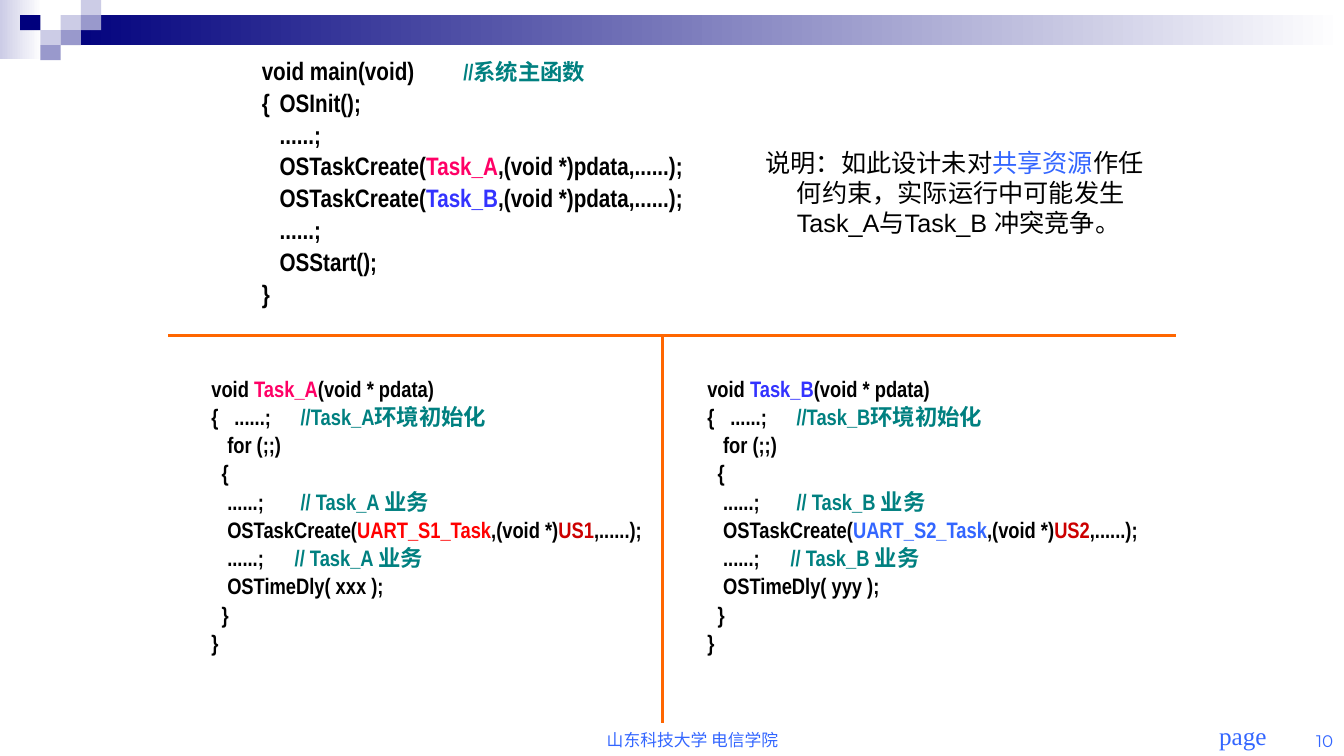
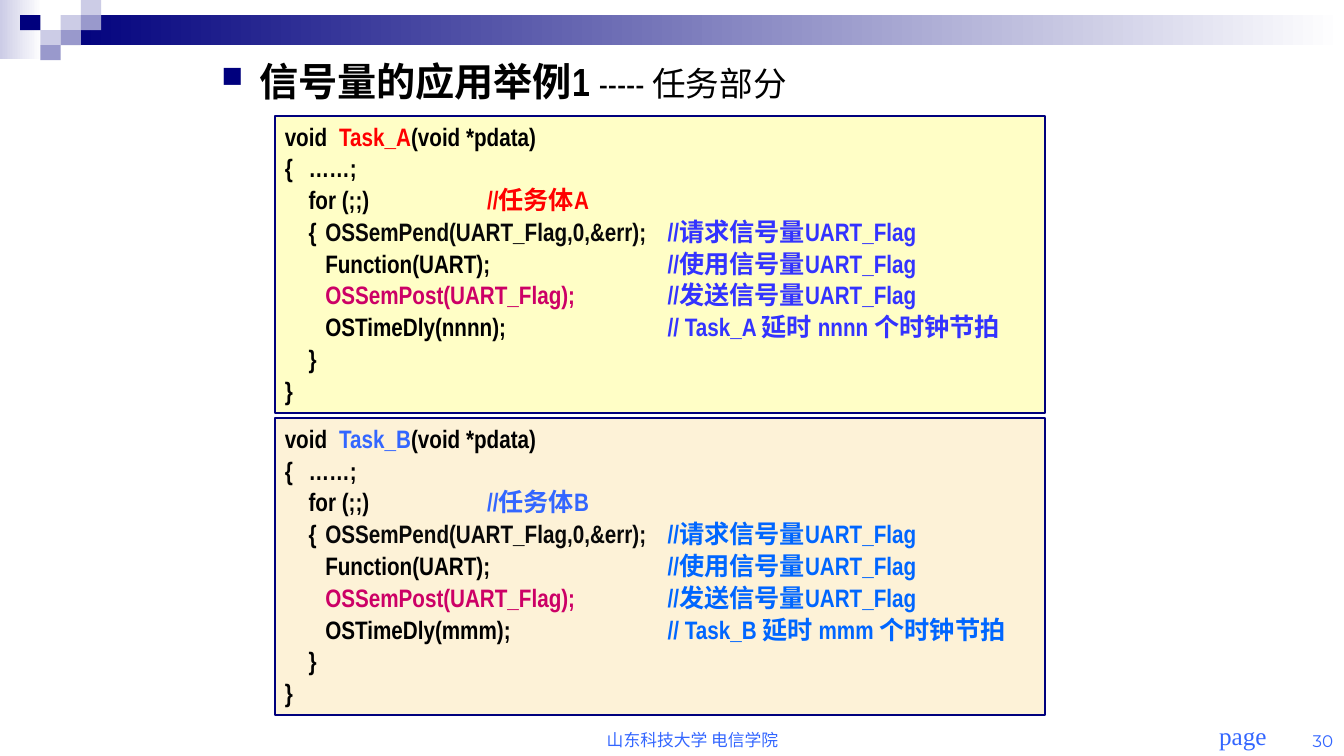
from lxml.etree import SubElement
from pptx import Presentation
from pptx.dml.color import RGBColor
from pptx.enum.shapes import MSO_CONNECTOR, MSO_SHAPE
from pptx.enum.text import MSO_ANCHOR, PP_ALIGN
from pptx.oxml.ns import qn
from pptx.util import Cm, Pt

NAVY, LILAC, MAUVE, WHITE = "00007D", "CCCCE6", "9999CC", "FFFFFF"
BLUE, TEAL, RED, ORANGE = "3366FF", "008080", "FF0000", "FF6600"
BLACK, PINK, VIOLET, ROSE = "000000", "FF0066", "3333FF", "CC0066"
CODE = "Arial Narrow"
hue = RGBColor.from_string


def block(slide, x, y, w, h, fill=None, line=None):
    if fill is None:
        shape = slide.shapes.add_textbox(Cm(x), Cm(y), Cm(w), Cm(h))
    else:
        shape = slide.shapes.add_shape(MSO_SHAPE.RECTANGLE, Cm(x), Cm(y), Cm(w), Cm(h))
        shape.shadow.inherit = False
        if isinstance(fill, tuple):
            shape.fill.gradient()
            shape.fill.gradient_angle = 0
            for stop, tone, spot in zip(shape.fill.gradient_stops, fill, (0, 1)):
                stop.color.rgb = hue(tone)
                stop.position = spot
        else:
            shape.fill.solid()
            shape.fill.fore_color.rgb = hue(fill)
        if line:
            shape.line.color.rgb = hue(line)
            shape.line.width = Pt(1.5)
        else:
            shape.line.fill.background()
    shape.text_frame.word_wrap = True
    shape.text_frame.vertical_anchor = MSO_ANCHOR.TOP
    return shape.text_frame


def write(frame, rows, size, face, tone=BLACK, bold=False, gap=0, tabs=(), align=PP_ALIGN.LEFT):
    for i, row in enumerate(rows):
        para = frame.add_paragraph() if i else frame.paragraphs[0]
        para.alignment = align
        para.space_before = Pt(gap)
        if tabs:
            stops = SubElement(para._p.get_or_add_pPr(), qn("a:tabLst"))
            for tab in tabs:
                SubElement(stops, qn("a:tab"), pos=str(Cm(tab)), algn="l")
        font = para.font
        font.name, font.size, font.bold = face, Pt(size), bold
        font.color.rgb = hue(tone)
        for part in row:
            text, tint = part if isinstance(part, tuple) else (part, None)
            run = para.add_run()
            run.text = text
            if tint:
                run.font.color.rgb = hue(tint)


deck = Presentation()
deck.slide_width, deck.slide_height = Cm(33.88), Cm(19.05)
pages = []
cells = [(3, 1, LILAC), (4, 0, LILAC), (4, 1, MAUVE), (2, 2, LILAC),
         (1, 1, NAVY), (3, 2, MAUVE), (2, 3, MAUVE)]

for number in ("10", "30"):
    page = deck.slides.add_slide(deck.slide_layouts[6])
    pages.append(page)
    block(page, 0, 0, 1.06, 1.48, (LILAC, WHITE))
    block(page, 1.53, 0.38, 32.33, 0.76, (NAVY, WHITE))
    for col, row, tone in cells:
        block(page, col * 0.51, row * 0.38, 0.51, 0.38, tone)
    write(block(page, 30.12, 18.03, 2.42, 1.02), [["page"]], 18, "Times New Roman",
          BLUE, gap=11.2, align=PP_ALIGN.CENTER)
    foot = block(page, 11.86, 18.14, 11.2, 0.89)
    write(foot, [["山东科技大学 电信学院"]], 12, "Arial", BLUE, align=PP_ALIGN.CENTER)
    count = block(page, 32.13, 18.16, 1.73, 0.89)
    write(count, [[number]], 12, "Montserrat", BLUE, align=PP_ALIGN.RIGHT)
    foot.vertical_anchor = count.vertical_anchor = MSO_ANCHOR.BOTTOM

tasks, sema = pages

main = block(tasks, 6.35, 1.27, 12.9, 6.63)
write(main, [
    ["void main(void)\t", ("//系统主函数", TEAL)],
    ["{\tOSInit();"],
    ["\t......;"],
    ["\tOSTaskCreate(", ("Task_A", PINK), ",(void *)pdata,......);"],
    ["\tOSTaskCreate(", ("Task_B", VIOLET), ",(void *)pdata,......);"],
    ["\t......;"],
    ["\tOSStart();"],
    ["}"],
], 18, CODE, bold=True, gap=1.1, tabs=(0.45, 5.08))
main.paragraphs[0].runs[1].font.size = Pt(16)

for x, name, tone, port, tint, wait in (
        (5.08, "A", PINK, "1", RED, "xxx"),
        (17.58, "B", VIOLET, "2", BLUE, "yyy")):
    work = (f"// Task_{name} 业务", TEAL)
    write(block(tasks, x, 9.32, 11.6, 7.34), [
        ["void ", (f"Task_{name}", tone), "(void * pdata)"],
        ["{\t\t\t......;\t\t", (f"//Task_{name}环境初始化", TEAL)],
        ["\t\tfor (;;)"],
        ["\t{"],
        ["\t\t......;\t\t", work],
        ["\t\tOSTaskCreate(", (f"UART_S{port}_Task", tint), ",(void *)",
         (f"US{port}", "CC0000"), ",......);"],
        ["\t\t......;\t", work],
        [f"\t\tOSTimeDly( {wait} );"],
        ["\t}"],
        ["}"],
    ], 16, CODE, bold=True, gap=1, tabs=(0.26, 0.4, 0.58, 2.1, 2.25))

for ends in ((4.24, 8.46, 29.64, 8.46), (16.71, 8.46, 16.71, 18.21)):
    rule = tasks.shapes.add_connector(MSO_CONNECTOR.STRAIGHT, *map(Cm, ends))
    rule.line.color.rgb = hue(ORANGE)
    rule.line.width = Pt(2.25)
    SubElement(rule._element.spPr, qn("a:effectLst"))

note = block(tasks, 19.05, 3.58, 10.16, 2.54)
write(note, [["说明：如此设计未对", ("共享资源", BLUE),
              "作任何约束，实际运行中可能发生Task_A与Task_B 冲突竞争。"]], 18, "Arial", gap=11.2)
hang = note.paragraphs[0]._p.get_or_add_pPr()
hang.set("marL", str(Cm(0.79)))
hang.set("indent", str(Cm(-0.79)))

title = block(sema, 5.33, 1.32, 22.86, 1.6)
head = title.paragraphs[0]
mark = head._p.get_or_add_pPr()
mark.set("marL", str(Cm(0.95)))
mark.set("indent", str(Cm(-0.95)))
head.space_before = Pt(6)
SubElement(SubElement(mark, qn("a:buClr")), qn("a:srgbClr"), val=NAVY)
SubElement(mark, qn("a:buSzPct"), val="75000")
SubElement(mark, qn("a:buChar"), char="■")
write(title, [["信号量的应用举例1 ", "----- 任务部分"]], 28, CODE, bold=True, gap=6)
head.runs[1].font.size = Pt(24)
head.runs[1].font.bold = False

for y, fill, name, tone, tint, wait in (
        (2.92, "FFFEC6", "A", RED, VIOLET, "nnnn"),
        (10.54, "FDF2D7", "B", BLUE, "0066FF", "mmm")):
    write(block(sema, 6.93, y, 19.41, 7.48, fill, NAVY), [
        ["void\t", (f"Task_{name}", tone), "(void *pdata)"],
        ["{\t……;"],
        ["\tfor (;;)\t", (f"//任务体{name}", tone)],
        ["\t{\t", ("OSSemPend(UART_Flag,0,&err);\t", "080808"), ("//请求信号量UART_Flag", tint)],
        ["\t\tFunction(UART);\t", ("//使用信号量UART_Flag", tint)],
        ["\t\t", ("OSSemPost(UART_Flag);\t", ROSE), ("//发送信号量UART_Flag", tint)],
        [f"\t\tOSTimeDly({wait});\t", (f"// Task_{name} 延时 {wait} 个时钟节拍", tint)],
        ["\t}"],
        ["}"],
    ], 18, CODE, bold=True, gap=1.1, tabs=(0.6, 1.02, 1.37, 5.1, 9.65))

deck.save("out.pptx")
